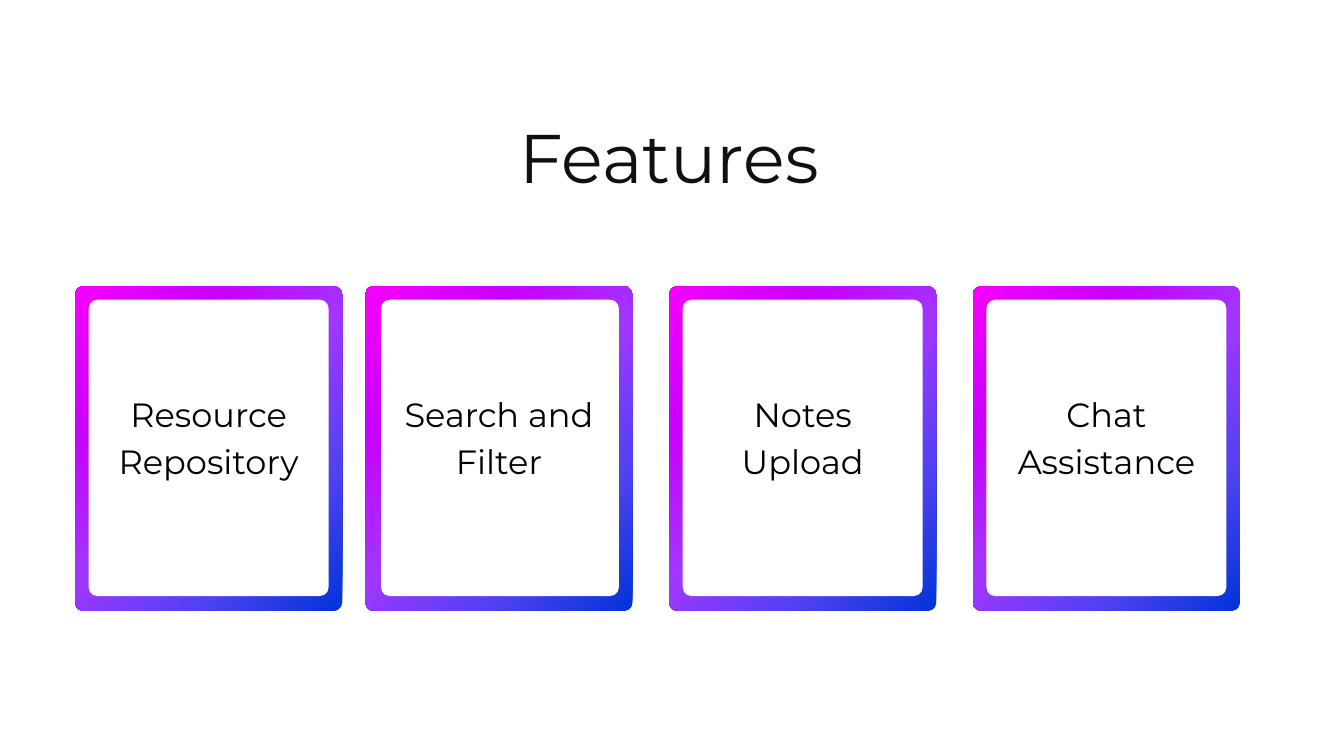
from pptx import Presentation
from pptx.dml.color import RGBColor
from pptx.enum.shapes import MSO_SHAPE
from pptx.enum.text import PP_ALIGN
from pptx.oxml import parse_xml
from pptx.oxml.ns import nsdecls
from pptx.util import Inches, Pt

FONT = "Montserrat"
GRADIENT = ["F600FE", "C900FE", "A136FF", "5142F0", "0033D9"]
CARD_TOP, CARD_WIDTH, CARD_HEIGHT = 4.26, 3.97, 4.83
BORDER = 0.2
CARDS = [
    (1.12, BORDER, ["Resource", "Repository"]),
    (5.44, 0.23, ["Search and Filter"]),
    (9.96, BORDER, ["Notes Upload"]),
    (14.48, BORDER, ["Chat Assistance"]),
]


def color(value):
    return RGBColor.from_string(value)


def add_panel(page, left, top, width, height, radius):
    panel = page.shapes.add_shape(
        MSO_SHAPE.ROUNDED_RECTANGLE,
        Inches(left), Inches(top), Inches(width), Inches(height),
    )
    panel.adjustments[0] = radius / min(width, height)
    panel.shadow.inherit = False
    panel.line.fill.background()
    panel.fill.solid()
    panel.fill.fore_color.rgb = color("FFFFFF")
    return panel


def fill_radial(panel, colors):
    step = 100000 // (len(colors) - 1)
    stops = "".join(
        f'<a:gs pos="{index * step}"><a:srgbClr val="{value}"/></a:gs>'
        for index, value in enumerate(colors)
    )
    gradient = parse_xml(
        f'<a:gradFill {nsdecls("a")} rotWithShape="1"><a:gsLst>{stops}</a:gsLst>'
        '<a:path path="circle"><a:fillToRect l="0" t="0" r="100000" b="100000"/>'
        "</a:path></a:gradFill>"
    )
    properties = panel.element.spPr
    properties.replace(properties.find("{*}solidFill"), gradient)


def add_text(page, left, top, width, height, lines, size, spacing, ink):
    box = page.shapes.add_textbox(
        Inches(left), Inches(top), Inches(width), Inches(height)
    )
    frame = box.text_frame
    frame.word_wrap = True
    frame.margin_left = frame.margin_right = 0
    frame.margin_top = frame.margin_bottom = 0
    frame.text = "\n".join(lines)
    for para in frame.paragraphs:
        para.alignment = PP_ALIGN.CENTER
        para.line_spacing = Pt(spacing)
        para.font.name = FONT
        para.font.size = Pt(size)
        para.font.color.rgb = color(ink)


def add_card(page, left, top, width, height, left_border, lines):
    frame = add_panel(page, left, top, width, height, 0.12)
    fill_radial(frame, GRADIENT)
    add_panel(
        page, left + left_border, top + BORDER,
        width - left_border - BORDER, height - 0.42, 0.13,
    )
    add_text(page, left + 0.41, top + 1.5, width - 0.82, 1.37,
             lines, 36, 50.4, "000000")


def main():
    deck = Presentation()
    deck.slide_width, deck.slide_height = Inches(20), Inches(11.25)
    page = deck.slides.add_slide(deck.slide_layouts[6])
    add_text(page, 3.7, 1.7, 12.51, 1.22, ["Features"], 73.7, 88.4, "101010")
    for left, left_border, lines in CARDS:
        add_card(page, left, CARD_TOP, CARD_WIDTH, CARD_HEIGHT, left_border, lines)
    deck.save("out.pptx")


if __name__ == "__main__":
    main()
